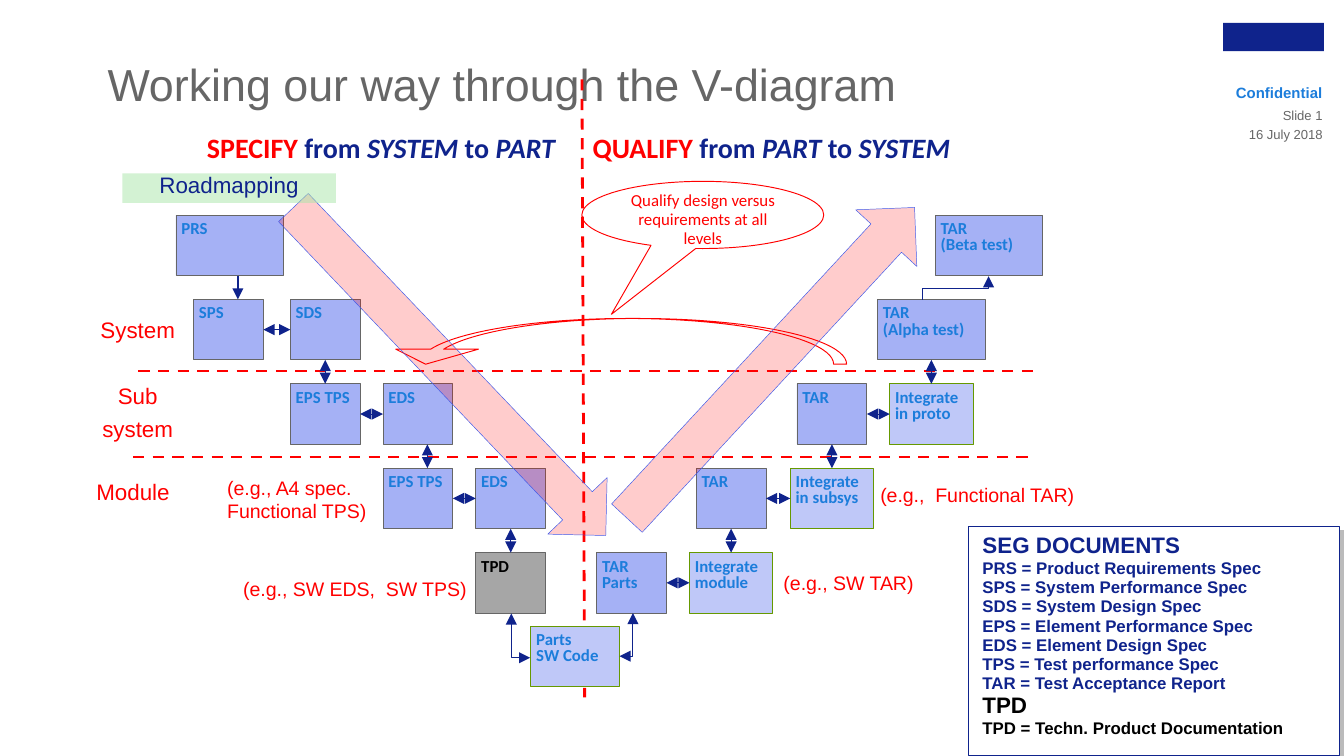
from dataclasses import dataclass
from typing import NamedTuple, Optional

from lxml import etree
from pptx import Presentation
from pptx import util as u
from pptx.dml.color import RGBColor
from pptx.enum import dml, shapes, text
from pptx.oxml import ns

# The slide is a grid of square cells: 100 columns by 56.25 rows.
SLIDE_WIDTH = u.Inches(10)
CELL = SLIDE_WIDTH // 100
ROWS = 56.25
FIRST_LEVEL, LEVEL_PITCH, BOX_HEIGHT = 16, 6.28, 4.5

NAVY = RGBColor(0x0F, 0x23, 0x8C)
BLUE = RGBColor(0x1C, 0x7D, 0xDB)
PERIWINKLE = RGBColor(0x7F, 0x91, 0xF1)
PALE_BLUE = RGBColor(0xBF, 0xC8, 0xF8)
ARROW_EDGE = RGBColor(0x3F, 0x5A, 0xEA)
RED = RGBColor(0xFF, 0x00, 0x00)
GREEN = RGBColor(0x66, 0x99, 0x00)
MINT = RGBColor(0xA8, 0xE6, 0xA8)
GRAY = RGBColor(0x66, 0x66, 0x66)
MID_GRAY = RGBColor(0xA6, 0xA6, 0xA6)
BLACK = RGBColor(0, 0, 0)
WHITE = RGBColor(0xFF, 0xFF, 0xFF)
LEFT, CENTER, RIGHT = text.PP_ALIGN.LEFT, text.PP_ALIGN.CENTER, text.PP_ALIGN.RIGHT
PRESET = shapes.MSO_SHAPE


class Run(NamedTuple):
    text: str
    color: Optional[RGBColor] = None
    italic: bool = False
    size: Optional[float] = None


class Style(NamedTuple):
    fill: RGBColor
    edge: RGBColor
    ink: RGBColor = BLUE
    opacity: int = 100


DOCUMENT = Style(PERIWINKLE, GRAY, opacity=70)
INTEGRATION = Style(PALE_BLUE, GREEN)
PRODUCT = Style(MID_GRAY, GRAY, BLACK)


@dataclass(frozen=True)
class Box:
    lines: tuple
    left: float
    level: float
    width: float = 5.2
    style: Style = DOCUMENT

    @property
    def top(self) -> float:
        return FIRST_LEVEL + LEVEL_PITCH * self.level

    @property
    def bottom(self) -> float:
        return self.top + BOX_HEIGHT

    @property
    def right(self) -> float:
        return self.left + self.width

    @property
    def center(self) -> float:
        return self.left + self.width / 2

    @property
    def middle(self) -> float:
        return self.top + BOX_HEIGHT / 2


def cells(*lengths: float) -> list:
    return [u.Emu(round(n * CELL)) for n in lengths]


def add_xml(parent, tag: str, **attributes: str):
    return etree.SubElement(parent, ns.qn(tag), attributes)


def write(frame, *lines, size=9.0, color=RED, bold=False, font="Arial", align=LEFT,
          spacing=1.0, before=0.0, after=0.0, margins=(0, 0, 0, 0)) -> None:
    """Fill a frame; each line is a string or a list of runs."""
    frame.word_wrap = True
    frame.auto_size = text.MSO_AUTO_SIZE.NONE
    frame.vertical_anchor = text.MSO_ANCHOR.TOP
    (frame.margin_left, frame.margin_top,
     frame.margin_right, frame.margin_bottom) = cells(*margins)
    for i, line in enumerate(lines):
        par = frame.add_paragraph() if i else frame.paragraphs[0]
        par.alignment, par.line_spacing = align, spacing
        par.space_before, par.space_after = u.Pt(before), u.Pt(after)
        for piece in [Run(line)] if isinstance(line, str) else line:
            run = par.add_run()
            run.text = piece.text
            run.font.name, run.font.bold, run.font.italic = font, bold, piece.italic
            run.font.size = u.Pt(piece.size or size)
            run.font.color.rgb = color if piece.color is None else piece.color


def label(area: tuple, *lines, **fmt):
    frame = slide.shapes.add_textbox(*cells(*area)).text_frame
    write(frame, *lines, **fmt)
    return frame


def draw(preset, area: tuple, fill=None, opacity=100, edge=None, weight=0.5):
    shape = slide.shapes.add_shape(preset, *cells(*area))
    shape.shadow.inherit = False
    if fill is None:
        shape.fill.background()
    else:
        shape.fill.solid()
        shape.fill.fore_color.rgb = fill
        if opacity < 100:
            tint = shape._element.spPr.find(ns.qn("a:solidFill"))[0]
            add_xml(tint, "a:alpha", val=str(opacity * 1000))
    if edge is None:
        shape.line.fill.background()
    else:
        shape.line.color.rgb, shape.line.width = edge, u.Pt(weight)
    return shape


def connect(start: tuple, end: tuple, color=NAVY, weight=0.5, head=True, tail=True,
            dashed=False, bend="", turn=0) -> None:
    """Draw a line or, with a bend preset, an elbow turned by some degrees."""
    kind = shapes.MSO_CONNECTOR.ELBOW if bend else shapes.MSO_CONNECTOR.STRAIGHT
    line = slide.shapes.add_connector(kind, *cells(*start, *end))
    line.line.color.rgb, line.line.width = color, u.Pt(weight)
    props = line._element.spPr
    if dashed:
        line.line.dash_style = dml.MSO_LINE.DASH
    if bend:
        props.find(ns.qn("a:prstGeom")).set("prst", bend)
        props.find(ns.qn("a:xfrm")).set("rot", str(turn * 60000))
    for tag, wanted in (("a:headEnd", head), ("a:tailEnd", tail)):
        if wanted:
            add_xml(line.line._get_or_add_ln(), tag, type="triangle")
    add_xml(props, "a:effectLst")


def link_across(a: Box, b: Box, **fmt) -> None:
    connect((a.right, a.middle), (b.left, a.middle), **fmt)


def link_down(a: Box, b: Box, x: Optional[float] = None, **fmt) -> None:
    x = a.center if x is None else x
    connect((x, a.bottom), (x, b.top), **fmt)


deck = Presentation()
deck.slide_width, deck.slide_height = SLIDE_WIDTH, u.Emu(round(ROWS * CELL))
slide = deck.slides.add_slide(deck.slide_layouts[1])
title, legend = slide.placeholders[0], slide.placeholders[1]

title.left, title.top, title.width, title.height = cells(8, 3.8, 80.6, 6.1)
write(title.text_frame, "Working our way through the V-diagram", size=24, color=GRAY,
      margins=(0, 0.4, 0, 0))
draw(PRESET.RECTANGLE, (91, 1.7, 7.5, 2.1), NAVY)
for top, words, fmt in (
        (6.2, "Confidential", dict(size=8, color=BLUE, bold=True)),
        (8, "Slide 1", dict(size=7, color=GRAY)),
        (9.4, "16 July 2018", dict(size=7, color=GRAY))):
    label((90.2, top, 8.2, 1), words, align=RIGHT, **fmt)

for start, end in (((10.3, 27.6), (77.2, 27.6)), ((9.9, 34), (76.7, 34)),
                   ((43.3, 5.9), (43.5, 51.9))):
    connect(start, end, RED, 1.5, head=False, tail=False, dashed=True)

callout = draw(PRESET.OVAL_CALLOUT, (43.3, 13.5, 18, 5), edge=RED)
callout.adjustments[0], callout.adjustments[1] = -0.378, 1.479
write(callout.text_frame, "Qualify design versus requirements at all levels",
      font="Calibri", align=CENTER, spacing=0.95)

prs = Box(("PRS",), 13.1, 0, 8)
sps = Box(("SPS",), 14.4, 1)
sds = Box(("SDS",), 21.6, 1)
sub_eps = Box(("EPS TPS",), 21.6, 2)
sub_eds = Box(("EDS",), 28.5, 2)
module_eps = Box(("EPS TPS",), 28.5, 3)
module_eds = Box(("EDS",), 35.4, 3)
tpd = Box(("TPD",), 35.4, 4, style=PRODUCT)
parts = Box(("Parts", "SW Code"), 39.5, 4.87, 6.6, INTEGRATION)
parts_tar = Box(("TAR", "Parts"), 44.4, 4)
to_module = Box(("Integrate", "module"), 51.3, 4, 6.2, INTEGRATION)
module_tar = Box(("TAR",), 51.8, 3)
to_subsystem = Box(("Integrate", "in subsys"), 58.8, 3, 6.2, INTEGRATION)
sub_tar = Box(("TAR",), 59.3, 2)
to_proto = Box(("Integrate", "in proto"), 66.2, 2, 6.2, INTEGRATION)
alpha = Box(("TAR", "(Alpha test)"), 65.3, 1, 8)
beta = Box(("TAR", "(Beta test)"), 69.6, 0, 8)

for box in (prs, sps, sds, sub_eps, sub_eds, module_eps, module_eds, tpd, parts, parts_tar,
            to_module, module_tar, to_subsystem, sub_tar, to_proto, alpha, beta):
    fill, edge, ink, opacity = box.style
    card = draw(PRESET.RECTANGLE, (box.left, box.top, box.width, BOX_HEIGHT),
                fill, opacity, edge)
    write(card.text_frame, *box.lines, color=ink, bold=True, font="Calibri",
          spacing=0.8, margins=(0.4, 0.5, 0, 0))

link_across(sps, sds, weight=0.75)
for a, b in ((sub_eps, sub_eds), (module_eps, module_eds), (parts_tar, to_module),
             (module_tar, to_subsystem), (sub_tar, to_proto)):
    link_across(a, b)
link_down(prs, sps, 17.7, weight=0.75, head=False)
link_down(sub_eds, module_eps, 31.8)
for a, b in ((sds, sub_eps), (module_eds, tpd), (module_tar, to_module),
             (sub_tar, to_subsystem), (alpha, to_proto)):
    link_down(a, b)
connect((40.4, 46.6), (37.1, 48), bend="bentConnector2", turn=270)
connect((parts.right, parts.middle), (47.1, parts_tar.bottom), bend="bentConnector2")
connect((70.2, 19), (72, 23.9), tail=False, bend="bentConnector3", turn=90)

feedback = draw(PRESET.CURVED_DOWN_ARROW, (28.6, 23.7, 34.4, 3.4), edge=RED)
feedback._element.spPr.find(ns.qn("a:xfrm")).set("flipH", "1")
for i, value in enumerate((0.286, 1.81, 0.328)):
    feedback.adjustments[i] = value

heading = label(
    (15.4, 10, 72.1, 2.3),
    [Run("SPECIFY", RED), Run(" from "), Run("SYSTEM", italic=True), Run(" to "),
     Run("PART", italic=True), Run("\tQUALIFY", RED), Run(" from "),
     Run("PART", italic=True), Run(" to "), Run("SYSTEM", italic=True)],
    size=15, color=NAVY, bold=True, font="Calibri", spacing=0.9, before=1.5, after=1.5)
tabs = add_xml(heading.paragraphs[0]._p.get_or_add_pPr(), "a:tabLst")
add_xml(tabs, "a:tab", pos=str(cells(28.7)[0]), algn="l")

LEVEL_TEXT = dict(size=12, align=CENTER, spacing=0.95, before=1.2, after=2.4)
label((6.8, 23.7, 6.9, 2.6), "System", **LEVEL_TEXT)
label((6.7, 28.6, 7.1, 4.5), "Sub", "system", **LEVEL_TEXT)
label((6.7, 35.7, 6.4, 2.9), "Module", **LEVEL_TEXT)

for area, angle in (((16.6, 24.6, 33.7, 6.1), 46.4), ((41.6, 23.9, 31.5, 6.2), 312.8)):
    draw(PRESET.RIGHT_ARROW, area, RED, 20, ARROW_EDGE, 0.25).rotation = angle

roadmap = draw(PRESET.RECTANGLE, (9.1, 12.9, 15.9, 2.2), MINT, 50)
write(roadmap.text_frame, "Roadmapping", color=NAVY, **LEVEL_TEXT)

panel = draw(PRESET.RECTANGLE, (72.1, 39.2, 27.6, 17), WHITE, edge=NAVY)
shadow = add_xml(panel._element.spPr.find(ns.qn("a:effectLst")), "a:outerShdw",
                 dist=str(u.Pt(2.8)), dir="2700000", algn="ctr", rotWithShape="0")
add_xml(add_xml(shadow, "a:srgbClr", val=str(GRAY)), "a:alpha", val="44000")

legend.left, legend.top, legend.width, legend.height = cells(72.1, 39.2, 29, 19.5)
write(legend.text_frame, [Run("SEG DOCUMENTS", size=12)],
      "PRS = Product Requirements Spec", "SPS = System Performance Spec",
      "SDS = System Design Spec", "EPS = Element Performance Spec",
      "EDS = Element Design Spec", "TPS = Test performance Spec",
      "TAR = Test Acceptance Report", [Run("TPD", BLACK, size=12)],
      [Run("TPD = Techn. Product Documentation", BLACK)],
      color=NAVY, bold=True, spacing=0.95, margins=(1, 0.5, 1, 0.5))
for entry in legend.text_frame.paragraphs:
    layout = entry._p.get_or_add_pPr()
    layout.set("marL", "0")
    layout.set("indent", "0")
    add_xml(layout, "a:buNone")
slide.shapes._spTree.append(legend._element)  # in front of its panel

for area, lines in (((16.9, 35.4, 10.8, 3.5), ("(e.g., A4 spec.", "Functional TPS)")),
                    ((65.5, 35.9, 15, 1.8), ("(e.g.,  Functional TAR)",)),
                    ((18.1, 42.9, 17, 1.8), ("(e.g., SW EDS,  SW TPS)",)),
                    ((58.3, 42.5, 17, 1.8), ("(e.g., SW TAR)",))):
    label(area, *lines, size=10.5)

deck.save("out.pptx")
